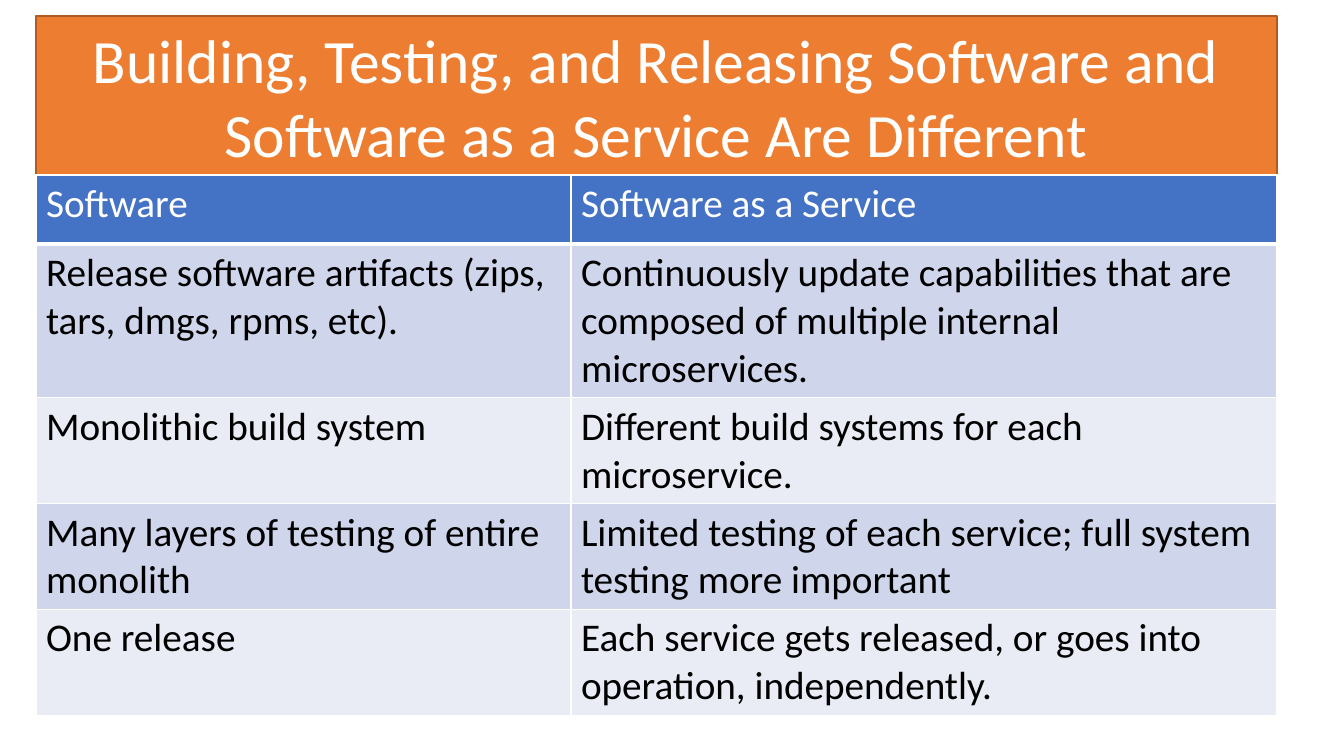
from lxml import etree
from pptx import Presentation
from pptx.dml.color import RGBColor
from pptx.enum.text import MSO_ANCHOR, MSO_AUTO_SIZE, PP_ALIGN
from pptx.oxml.ns import qn
from pptx.util import Emu, Pt

CENTER = PP_ALIGN.CENTER
MIDDLE = MSO_ANCHOR.MIDDLE
NO_AUTOFIT = MSO_AUTO_SIZE.NONE

WHITE = RGBColor(0xFF, 0xFF, 0xFF)
BLACK = RGBColor(0x00, 0x00, 0x00)
ORANGE = RGBColor(0xED, 0x7D, 0x31)
BROWN = RGBColor(0xAF, 0x5C, 0x24)
BLUE = RGBColor(0x44, 0x72, 0xC4)
BAND_COLORS = (RGBColor(0xE9, 0xEB, 0xF5), RGBColor(0xCF, 0xD5, 0xEA))

EMU_PER_PX = 914400 / 100.8
SLIDE_SIZE = (1344, 756)
LEFT, TITLE_TOP, TITLE_HEIGHT = 36, 16, 159
COLUMN_WIDTHS = (535, 706)
ROW_HEIGHTS = (69, 151, 104, 104, 104)

TITLE = ("Building, Testing, and Releasing Software and "
         "Software as a Service Are Different")
TITLE_FORMAT = {"name": "Calibri", "size": Pt(44), "bold": False}
CELL_FORMAT = {"name": "Calibri", "size": Pt(28), "bold": False}
ROWS = (
    ("Software", "Software as a Service"),
    ("Release software artifacts (zips, tars, dmgs, rpms, etc).",
     "Continuously update capabilities that are composed of multiple "
     "internal microservices."),
    ("Monolithic build system",
     "Different build systems for each microservice."),
    ("Many layers of testing of entire monolith",
     "Limited testing of each service; full system testing more important"),
    ("One release",
     "Each service gets released, or goes into operation, independently."),
)


def px(length):
    return Emu(round(length * EMU_PER_PX))


def format_font(font, values, color):
    for name, value in values.items():
        setattr(font, name, value)
    font.color.rgb = color


def add_title(slide):
    title = slide.shapes.title
    box = {"left": LEFT, "top": TITLE_TOP,
           "width": sum(COLUMN_WIDTHS), "height": TITLE_HEIGHT}
    for name, length in box.items():
        setattr(title, name, px(length))
    title.fill.solid()
    title.fill.fore_color.rgb = ORANGE
    title.line.color.rgb = BROWN
    title.line.width = Pt(1)

    frame = title.text_frame
    frame.text = TITLE
    frame.word_wrap = True
    frame.auto_size = NO_AUTOFIT
    frame.vertical_anchor = MIDDLE
    paragraph = frame.paragraphs[0]
    paragraph.alignment = CENTER
    format_font(paragraph.font, TITLE_FORMAT, WHITE)


def add_borders(cell, bottom_width):
    """Draw white cell borders; call before filling the cell."""
    properties = cell._tc.get_or_add_tcPr()
    widths = {"a:lnL": 1, "a:lnR": 1, "a:lnT": 1, "a:lnB": bottom_width}
    for tag, width in widths.items():
        line = etree.SubElement(properties, qn(tag), w=str(Pt(width)))
        fill = etree.SubElement(line, qn("a:solidFill"))
        etree.SubElement(fill, qn("a:srgbClr"), val=str(WHITE))


def fill_cell(cell, text, row_index):
    is_header = row_index == 0
    add_borders(cell, 3 if is_header else 1)
    cell.fill.solid()
    cell.fill.fore_color.rgb = BLUE if is_header else BAND_COLORS[row_index % 2]
    cell.text = text
    format_font(cell.text_frame.paragraphs[0].runs[0].font, CELL_FORMAT,
                WHITE if is_header else BLACK)


def add_comparison_table(slide):
    table = slide.shapes.add_table(
        len(ROWS), len(COLUMN_WIDTHS), px(LEFT), px(TITLE_TOP + TITLE_HEIGHT),
        px(sum(COLUMN_WIDTHS)), px(sum(ROW_HEIGHTS))).table
    for column, width in zip(table.columns, COLUMN_WIDTHS):
        column.width = px(width)
    for row_index, texts in enumerate(ROWS):
        row = table.rows[row_index]
        row.height = px(ROW_HEIGHTS[row_index])
        for cell, text in zip(row.cells, texts):
            fill_cell(cell, text, row_index)


def main():
    presentation = Presentation()
    presentation.slide_width, presentation.slide_height = map(px, SLIDE_SIZE)
    title_only = presentation.slide_layouts.get_by_name("Title Only")
    slide = presentation.slides.add_slide(title_only)
    add_title(slide)
    add_comparison_table(slide)
    presentation.save("out.pptx")


if __name__ == "__main__":
    main()
